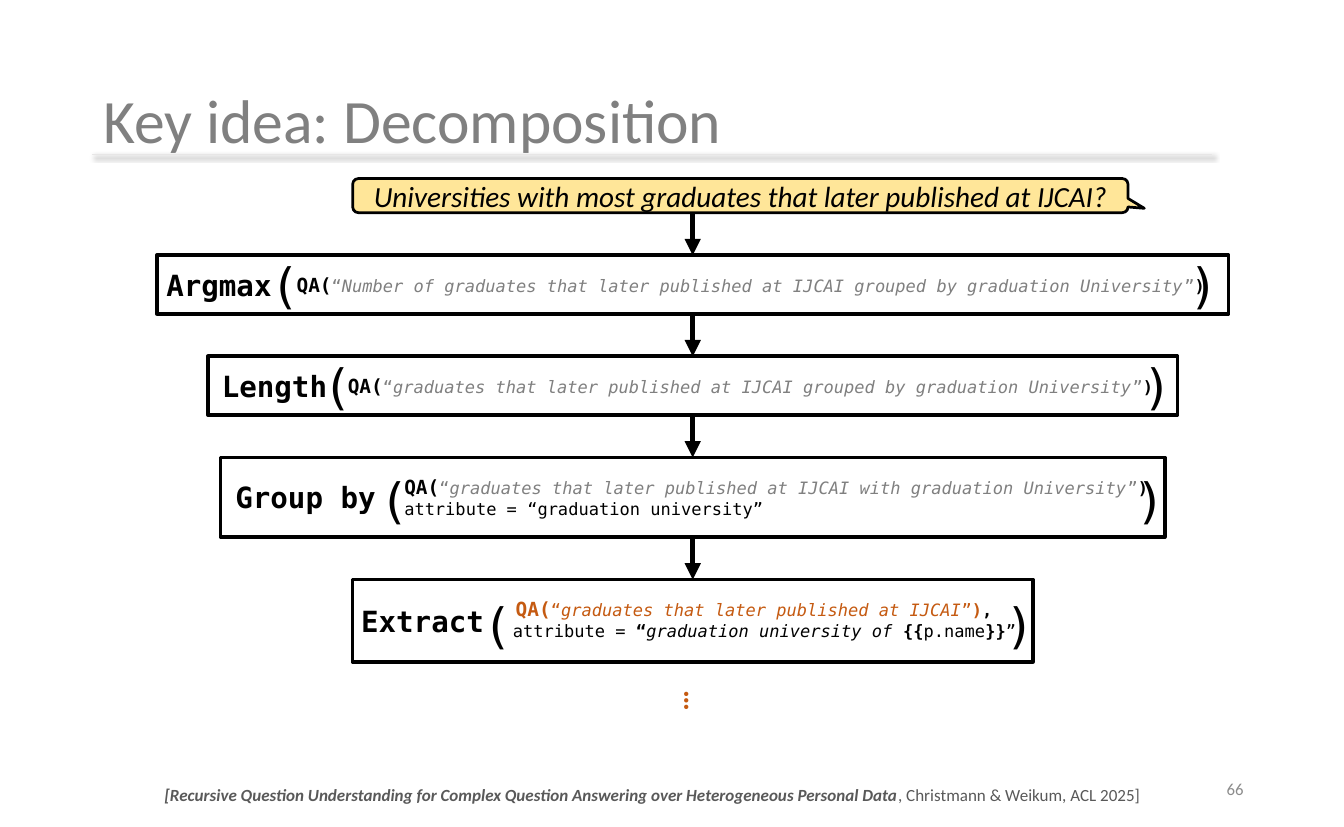
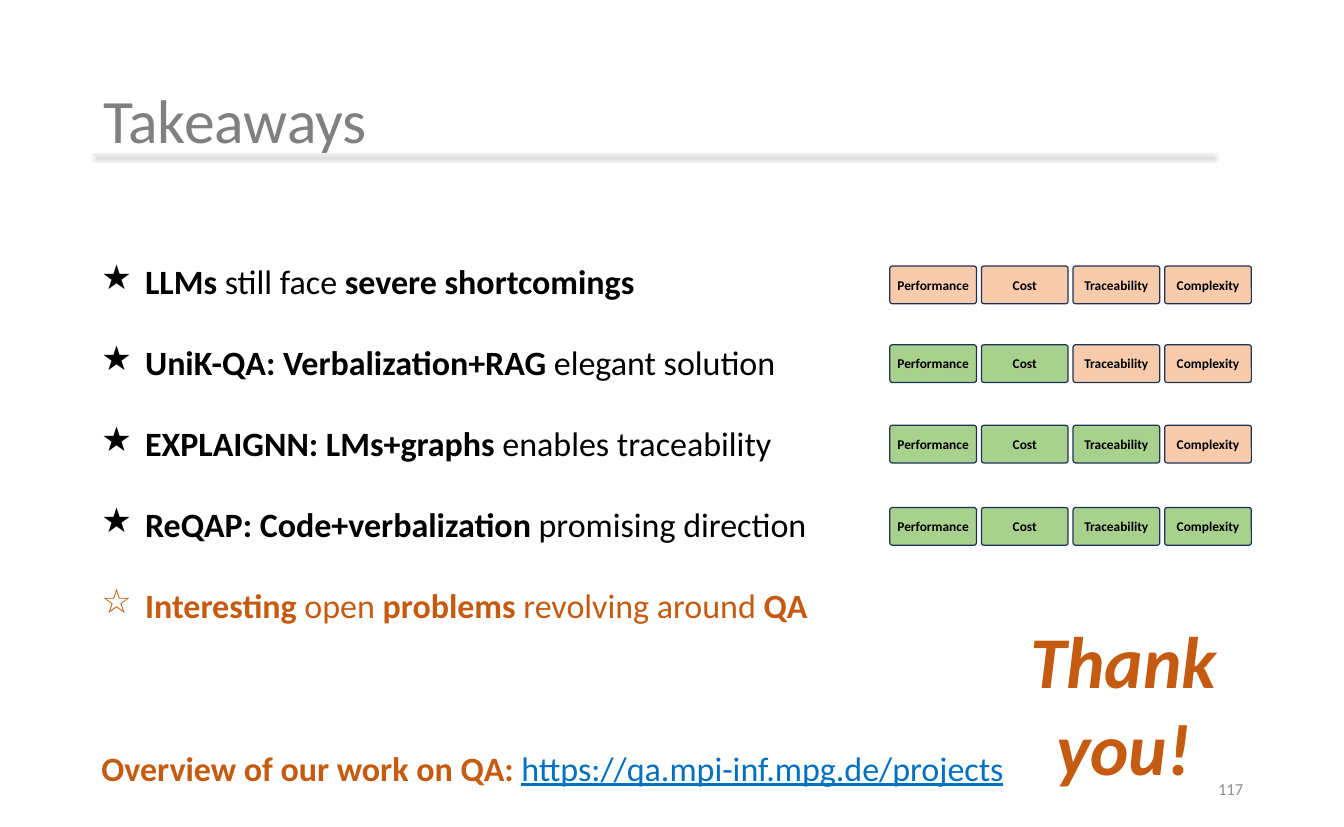
import pptx
import pptx.dml.color
import pptx.enum.shapes
import pptx.enum.text
import pptx.oxml
import pptx.oxml.ns
import pptx.util

Pt = pptx.util.Pt
SHAPES = pptx.enum.shapes.MSO_SHAPE
ALIGN = pptx.enum.text.PP_ALIGN
ANCHOR = pptx.enum.text.MSO_ANCHOR

COLORS = {
    "black": "000000", "title": "808080", "number": "8C8C8C", "source": "595959",
    "rule": "E7E6E6", "accent": "C55A11", "link": "0070C0", "question": "FFE699",
    "solved": "A9D18E", "unsolved": "F8CBAD", "border": "1E3256",
}
SANS = "Calibri"
MONO = "DejaVu Sans Mono"
CENTER = 570


def rgb(name):
    return pptx.dml.color.RGBColor.from_string(COLORS[name])


def add_run(paragraph, text, size=28, font=SANS, color="black", bold=False, italic=False, underline=False):
    run = paragraph.add_run()
    run.text = text
    run.font.size = Pt(size)
    run.font.name = font
    run.font.color.rgb = rgb(color)
    run.font.bold = bold
    run.font.italic = italic
    run.font.underline = underline


def line(*runs, indent=0, hanging=0, bullet=None, before=0, spacing=None):
    return dict(runs=runs, indent=indent, hanging=hanging, bullet=bullet, before=before, spacing=spacing)


class Deck:
    def __init__(self):
        self.presentation = pptx.Presentation()
        self.presentation.slide_width = Pt(1105.92)
        self.presentation.slide_height = Pt(680.4)
        self.slide = None

    def new_slide(self, title, number):
        self.slide = self.presentation.slides.add_slide(self.presentation.slide_layouts[6])
        self.text(781.2, 630.7, 249.1, 36, [line((number, dict(size=13.8, color="number")))],
                  align=ALIGN.RIGHT, anchor=ANCHOR.MIDDLE)
        self.text(76.3, 36, 953.3, 131.8,
                  [line((title, dict(size=50.7, color="title")), spacing=0.9)],
                  anchor=ANCHOR.MIDDLE, insets=(8.64, 4.32, 8.64, 4.32))
        self.rule(76.3, 127.4, 920.9)

    def rule(self, left, top, width):
        shape = self.shape(SHAPES.RECTANGLE, left, top, width, 0, "rule", "rule", 1)
        effects = shape._element.spPr.find(pptx.oxml.ns.qn("a:effectLst"))
        effects.append(pptx.oxml.parse_xml(
            f'<a:outerShdw {pptx.oxml.ns.nsdecls("a")} blurRad="{Pt(4)}" dist="{Pt(3)}" '
            'dir="2700000" algn="tl" rotWithShape="0">'
            f'<a:srgbClr val="{COLORS["black"]}"><a:alpha val="40000"/></a:srgbClr></a:outerShdw>'))

    def shape(self, kind, left, top, width, height, fill, border, border_width, adjustments=()):
        shape = self.slide.shapes.add_shape(kind, Pt(left), Pt(top), Pt(width), Pt(height))
        shape.shadow.inherit = False
        if fill:
            shape.fill.solid()
            shape.fill.fore_color.rgb = rgb(fill)
        else:
            shape.fill.background()
        shape.line.color.rgb = rgb(border)
        shape.line.width = Pt(border_width)
        for index, value in enumerate(adjustments):
            shape.adjustments[index] = value
        return shape

    def text(self, left, top, width, height, lines, rotation=0, **layout):
        box = self.slide.shapes.add_textbox(Pt(left), Pt(top), Pt(width), Pt(height))
        box.rotation = rotation
        self.fill_text(box, lines, **layout)

    def fill_text(self, shape, lines, align=ALIGN.LEFT, anchor=ANCHOR.TOP, insets=(7.2, 3.6, 7.2, 3.6)):
        frame = shape.text_frame
        frame.word_wrap = True
        frame.vertical_anchor = anchor
        frame.margin_left, frame.margin_top, frame.margin_right, frame.margin_bottom = map(Pt, insets)
        for index, item in enumerate(lines):
            paragraph = frame.add_paragraph() if index else frame.paragraphs[0]
            paragraph.alignment = align
            if item["spacing"]:
                paragraph.line_spacing = item["spacing"]
            if item["before"]:
                paragraph.space_before = Pt(item["before"])
            properties = paragraph._p.get_or_add_pPr()
            properties.set("marL", str(Pt(item["indent"])))
            properties.set("indent", str(Pt(-item["hanging"])))
            if item["bullet"]:
                properties.append(pptx.oxml.parse_xml(
                    f'<a:buChar {pptx.oxml.ns.nsdecls("a")} char="{item["bullet"]}"/>'))
            for content, style in item["runs"]:
                add_run(paragraph, content, **style)

    def arrow(self, top, bottom):
        connector = self.slide.shapes.add_connector(
            pptx.enum.shapes.MSO_CONNECTOR.STRAIGHT, Pt(CENTER), Pt(top), Pt(CENTER), Pt(bottom))
        connector.line.color.rgb = rgb("black")
        connector.line.width = Pt(4.5)
        namespace = pptx.oxml.ns.nsdecls("a")
        connector.line._get_or_add_ln().append(
            pptx.oxml.parse_xml(f'<a:tailEnd {namespace} type="triangle"/>'))
        connector._element.spPr.append(pptx.oxml.parse_xml(f'<a:effectLst {namespace}/>'))

    def operator(self, top, width, height, name, name_shift, opening, closing, drop, lines):
        left = CENTER - width / 2
        box = self.shape(SHAPES.RECTANGLE, left, top, width, height, None, "black", 3)
        self.fill_text(box, lines, insets=(7.2, 14.6, 0, 0))
        self.text(left + name_shift, top + (height - 36) / 2, 156, 36,
                  [line((name, dict(size=24, font=MONO, bold=True)))])
        bracket_top = top + (height - 55.4) / 2 + drop
        for bracket, bracket_left in (("(", left + opening), (")", left + width - closing)):
            self.text(bracket_left, bracket_top, 30, 55.4, [line((bracket, dict(size=40, font=MONO)))])

    def chip(self, left, top, label, fill):
        chip = self.shape(SHAPES.ROUNDED_RECTANGLE, left, top, 71.3, 31, fill, "border", 1, [0.066])
        self.fill_text(chip, [line((label, dict(size=11, bold=True)))],
                       align=ALIGN.CENTER, anchor=ANCHOR.MIDDLE, insets=(0, 3.6, 0, 3.6))


def code(text, size=14, **style):
    return text, dict(size=size, font=MONO, **style)


def question_call(question, indent, color="title", bracket_color="black", ending=()):
    return line(code("QA(", 16, bold=True, color=bracket_color), code("“", color=color),
                code(question, color=color, italic=True), code("”", color=color),
                code(")", bold=True, color=bracket_color), *ending, indent=indent)


def decomposition_slide(deck):
    deck.new_slide("Key idea: Decomposition", "66")
    source = dict(size=14, color="source")
    deck.text(95.8, 642.2, 882, 24.5, [line(
        ("[Recursive Question Understanding for Complex Question Answering over Heterogeneous Personal Data",
         dict(source, bold=True, italic=True)),
        (", Christmann & Weikum, ACL 2025]", source))], align=ALIGN.CENTER)

    callout = deck.shape(SHAPES.ROUNDED_RECTANGULAR_CALLOUT, 290.2, 146.9, 638, 28.1,
                         "question", "black", 2.25, [0.521, 0.372, 0.167])
    deck.fill_text(callout, [line(("Universities with most graduates that later published at IJCAI?",
                                   dict(size=24, italic=True)))],
                   align=ALIGN.CENTER, anchor=ANCHOR.MIDDLE)

    grouped = "graduates that later published at IJCAI grouped by graduation University"
    operators = [
        (882, 48.2, "Argmax", 0.7, 86.4, 39.7, 0, [question_call("Number of " + grouped, 108)]),
        (797.8, 48.2, "Length", 4.3, 87.6, 35.8, 0, [question_call(grouped, 108)]),
        (776.9, 65.5, "Group by", 5, 123.8, 31, 1.5, [
            question_call("graduates that later published at IJCAI with graduation University", 144),
            line(code("attribute = “graduation university”"), indent=144)]),
        (560, 67.7, "Extract", 0, 100.2, 30, 2.5, [
            question_call("graduates that later published at IJCAI", 127.3, "accent", "accent",
                          [code(",", bold=True)]),
            line(code("attribute = "), code("“", bold=True),
                 code("graduation university of", italic=True), code(" {{", bold=True),
                 code("p.name"), code("}}", bold=True), code("”"), indent=124.9)]),
    ]
    bottom = 175
    for width, height, *details in operators:
        top = bottom + 35
        deck.arrow(bottom, top)
        deck.operator(top, width, height, *details)
        bottom = top + height

    deck.text(551.5, 558.7, 42.5, 36, [line(("…", dict(size=24, color="accent", bold=True)))],
              rotation=90, align=ALIGN.CENTER)


def takeaways_slide(deck):
    deck.new_slide("Takeaways", "117")
    takeaways = [
        ("★", "black", [("LLMs ", True), ("still face ", False), ("severe shortcomings", True)]),
        ("★", "black", [("UniK-QA: Verbalization+RAG", True), (" elegant solution", False)]),
        ("★", "black", [("EXPLAIGNN: LMs+graphs ", True), ("enables traceability", False)]),
        ("★", "black", [("ReQAP: Code+verbalization ", True), ("promising direction", False)]),
        ("☆", "accent", [("Interesting ", True), ("open", False), (" problems ", True),
                         ("revolving around", False), (" QA", True)]),
    ]
    lines = [line(*[(text, dict(color=color, bold=bold)) for text, bold in parts],
                  indent=36, hanging=36, bullet=bullet, before=33 if index else 0)
             for index, (bullet, color, parts) in enumerate(takeaways)]
    lines.append(line(("Overview of our work on QA: ", dict(color="accent", bold=True)),
                      ("https://qa.mpi-inf.mpg.de/projects", dict(color="link", underline=True)),
                      before=100))
    deck.text(76.3, 211, 941.8, 448.6, lines)
    deck.text(810.7, 502.6, 227.5, 152.6,
              [line(("Thank you!", dict(size=60, color="accent", bold=True, italic=True)))],
              align=ALIGN.CENTER)

    criteria = ["Performance", "Cost", "Traceability", "Complexity"]
    for top, solved in ((218.9, 0), (283.7, 2), (349.9, 3), (417.6, 4)):
        for column, label in enumerate(criteria):
            deck.chip(732.2 + 75.4 * column, top, label, "solved" if column < solved else "unsolved")


def main():
    deck = Deck()
    decomposition_slide(deck)
    takeaways_slide(deck)
    deck.presentation.save("out.pptx")


if __name__ == "__main__":
    main()
